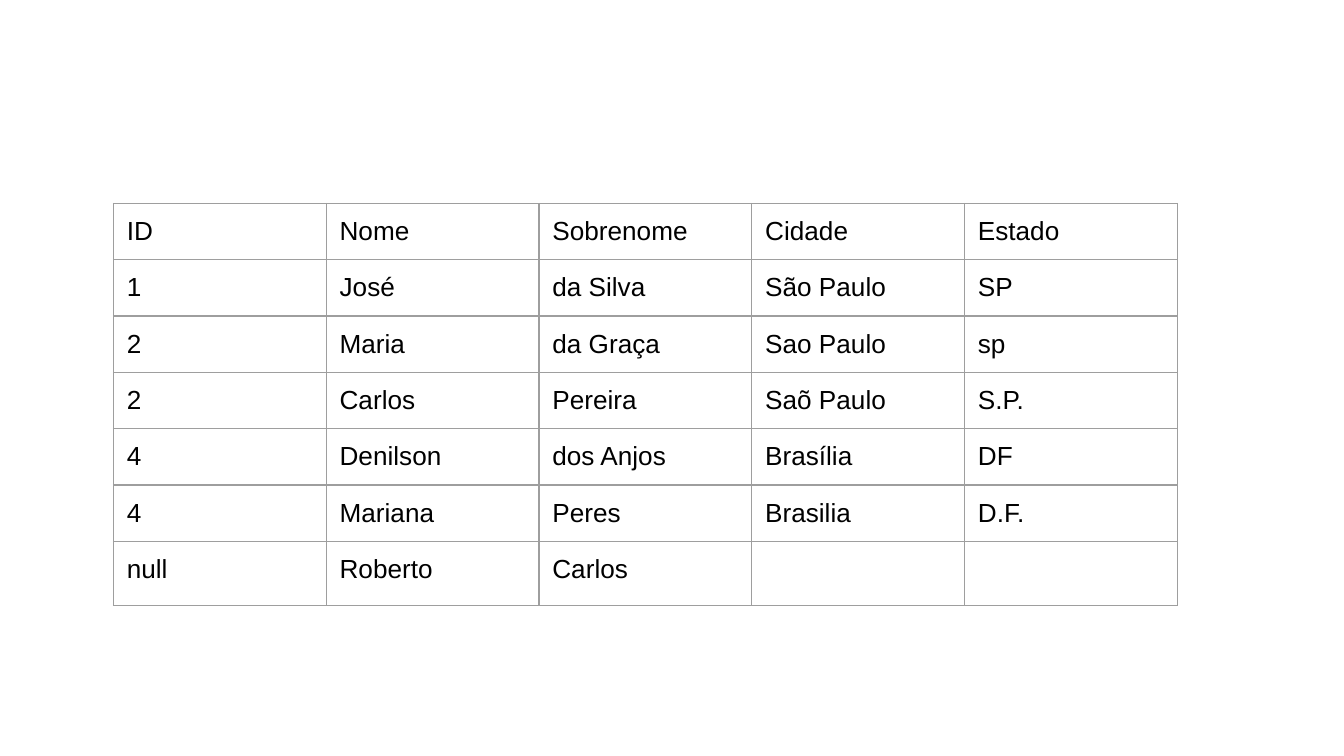
from lxml.etree import SubElement
from pptx import Presentation
from pptx.dml.color import RGBColor
from pptx.oxml.ns import qn
from pptx.util import Pt

PEOPLE = [
    ("ID", "Nome", "Sobrenome", "Cidade", "Estado"),
    ("1", "José", "da Silva", "São Paulo", "SP"),
    ("2", "Maria", "da Graça", "Sao Paulo", "sp"),
    ("2", "Carlos", "Pereira", "Saõ Paulo", "S.P."),
    ("4", "Denilson", "dos Anjos", "Brasília", "DF"),
    ("4", "Mariana", "Peres", "Brasilia", "D.F."),
    ("null", "Roberto", "Carlos", "", ""),
]
SLIDE_WIDTH, SLIDE_HEIGHT = 720, 405
LEFT, TOP = 60.75, 109
COLUMN_WIDTH = 114
ROW_HEIGHT, LAST_ROW_HEIGHT = 30.1, 34.3
BORDER_COLOR, BORDER_WIDTH = "9E9E9E", 0.75
TEXT_COLOR = "000000"
FONT = {"name": "Arial", "size": Pt(14), "bold": False}
MARGINS = {f"margin_{side}": Pt(7.2) for side in ("left", "top", "right", "bottom")}
TABLE_FLAGS = {"first_row": False, "horz_banding": False}


def rgb(color):
    return RGBColor.from_string(color)


def set_format(target, values):
    for name, value in values.items():
        setattr(target, name, value)


def add_borders(cell):
    properties = cell._tc.get_or_add_tcPr()
    for side in ("lnL", "lnR", "lnT", "lnB"):
        border = SubElement(properties, qn(f"a:{side}"), w=str(Pt(BORDER_WIDTH)))
        fill = SubElement(border, qn("a:solidFill"))
        SubElement(fill, qn("a:srgbClr"), val=BORDER_COLOR)


def fill_cell(cell, text):
    add_borders(cell)
    cell.fill.background()
    if text:
        set_format(cell, MARGINS)
        run = cell.text_frame.paragraphs[0].add_run()
        run.text = text
        set_format(run.font, FONT)
        run.font.color.rgb = rgb(TEXT_COLOR)


def main():
    presentation = Presentation()
    presentation.slide_width = Pt(SLIDE_WIDTH)
    presentation.slide_height = Pt(SLIDE_HEIGHT)
    slide = presentation.slides.add_slide(presentation.slide_layouts[6])

    row_count, column_count = len(PEOPLE), len(PEOPLE[0])
    heights = [ROW_HEIGHT] * (row_count - 1) + [LAST_ROW_HEIGHT]
    people_table = slide.shapes.add_table(
        row_count, column_count, Pt(LEFT), Pt(TOP),
        Pt(COLUMN_WIDTH * column_count), Pt(sum(heights)),
    ).table
    set_format(people_table, TABLE_FLAGS)
    for column in people_table.columns:
        column.width = Pt(COLUMN_WIDTH)
    for row, height, person in zip(people_table.rows, heights, PEOPLE):
        row.height = Pt(height)
        for cell, text in zip(row.cells, person):
            fill_cell(cell, text)

    presentation.save("out.pptx")


if __name__ == "__main__":
    main()
